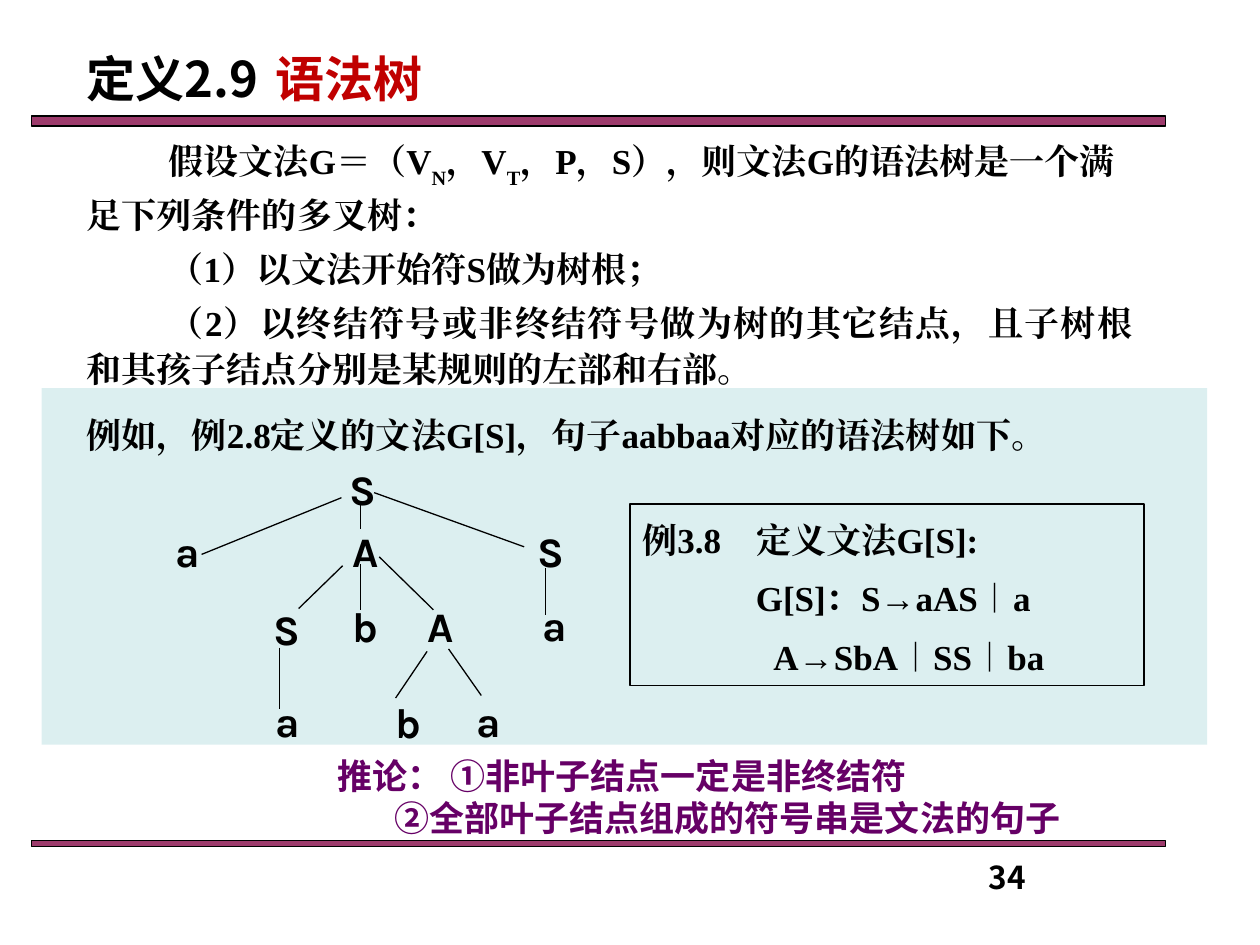
from dataclasses import dataclass

from lxml import etree
from pptx import Presentation
from pptx import util as u
from pptx.dml import color
from pptx.enum import shapes, text
from pptx.oxml import ns


@dataclass(frozen=True)
class Theme:
    ink: str = "000000"
    red: str = "C00000"
    purple: str = "660066"
    bar: str = "993366"
    panel: str = "BBE0E3"
    serif: str = "Times New Roman"
    sans: str = "Noto Sans CJK SC"
    label: str = "Karla"
    title: float = 28
    node: float = 24
    body: float = 20
    number: float = 18
    hairline: float = 0.75


ALIGN, ANCHOR = text.PP_ALIGN, text.MSO_ANCHOR
COLUMNS, ROWS = 100, 75


class Deck:
    def __init__(self, theme):
        self.theme = theme
        self.prs = Presentation()
        self.prs.slide_width, self.prs.slide_height = u.Inches(10), u.Inches(7.5)
        self.s = self.prs.slides.add_slide(self.prs.slide_layouts[6])

    def x(self, columns):
        return round(self.prs.slide_width * columns / COLUMNS)

    def y(self, rows):
        return round(self.prs.slide_height * rows / ROWS)

    def place(self, at):
        left, top, width, height = at
        return self.x(left), self.y(top), self.x(width), self.y(height)

    def rect(self, at, fill=None, opacity=100, outline=True):
        sp = self.s.shapes.add_shape(shapes.MSO_SHAPE.RECTANGLE, *self.place(at))
        sp.shadow.inherit = False
        if fill:
            sp.fill.solid()
            sp.fill.fore_color.rgb = color.RGBColor.from_string(fill)
            clr = sp.fill._xPr.find(".//" + ns.qn("a:srgbClr"))
            etree.SubElement(clr, ns.qn("a:alpha"), val=str(opacity * 1000))
        else:
            sp.fill.background()
        if outline:
            self.stroke(sp.line)
        else:
            sp.line.fill.background()
        return sp

    def stroke(self, line):
        line.color.rgb = color.RGBColor.from_string(self.theme.ink)
        line.width = u.Pt(self.theme.hairline)

    def line(self, x1, y1, x2, y2):
        ends = self.x(x1), self.y(y1), self.x(x2), self.y(y2)
        c = self.s.shapes.add_connector(shapes.MSO_CONNECTOR.STRAIGHT, *ends)
        self.stroke(c.line)
        etree.SubElement(c._element.spPr, ns.qn("a:effectLst"))

    def textbox(self, at, anchor=ANCHOR.TOP):
        sp = self.s.shapes.add_textbox(*self.place(at))
        self.frame(sp, anchor)
        return sp

    def frame(self, sp, anchor=ANCHOR.TOP):
        sp.text_frame.word_wrap = True
        sp.text_frame.vertical_anchor = anchor

    def para(self, sp, runs, size, font, ink=None, align=ALIGN.LEFT,
             spacing=None, before=0, margin=0, first=0, tab=None):
        tf = sp.text_frame
        p = tf.paragraphs[0]
        if p.runs:
            p = tf.add_paragraph()
            p.space_before = u.Pt(before)
        p.alignment = align
        if spacing:
            p.line_spacing = spacing
        pPr = p._p.get_or_add_pPr()
        pPr.set("marL", str(self.x(margin)))
        pPr.set("indent", str(self.x(first)))
        if tab:
            tabs = etree.SubElement(pPr, ns.qn("a:tabLst"))
            etree.SubElement(tabs, ns.qn("a:tab"), pos=str(self.x(tab)), algn="l")
        for words, style in runs:
            r = p.add_run()
            r.text = words
            r.font.size, r.font.bold, r.font.name = u.Pt(size), True, font
            rgb = style.get("ink", ink or self.theme.ink)
            r.font.color.rgb = color.RGBColor.from_string(rgb)
            rPr = r._r.get_or_add_rPr()
            etree.SubElement(rPr, ns.qn("a:ea"), typeface=font)
            if "base" in style:
                rPr.set("baseline", str(style["base"] * 1000))


def draw_tree(deck):
    t = deck.theme
    nodes = [
        ("S", 25.4, 36.3), ("A", 25.6, 41.2), ("a", 11.5, 41.2),
        ("S", 19.4, 47.4), ("S", 40.3, 41.2), ("a", 40.6, 47.1),
        ("a", 19.4, 54.7), ("b", 25.6, 47.2), ("A", 31.6, 47.2),
        ("b", 29, 54.8), ("a", 35.4, 54.7),
    ]
    edges = [
        (28.6, 40.1, 28.6, 42), (27.1, 39.5, 16, 44), (29.7, 39.1, 41.6, 43.4),
        (27.2, 44.9, 23.7, 48.3), (28.6, 44.8, 28.6, 48.4), (30.1, 44.2, 34.4, 48.4),
        (43.3, 45.1, 43.3, 48.8), (22.2, 51.4, 22.2, 56.3),
        (33.9, 51.7, 31.4, 55.4), (35.6, 51.5, 38.2, 55.2),
    ]
    for symbol, left, top in nodes:
        sp = deck.textbox((left, top, 6.8, 5.6))
        deck.para(sp, [(symbol, {})], t.node, t.label, align=ALIGN.CENTER)
    for edge in edges:
        deck.line(*edge)


def main():
    t = Theme()
    deck = Deck(t)
    for top, height in ((9.2, 0.8), (66.7, 0.5)):
        deck.rect((2.5, top, 90, height), t.bar, 96)
    deck.rect((3.3, 30.8, 92.5, 28.3), t.panel, 50, outline=False)

    sub = {"base": -30}
    definition = [
        ([("假设文法G＝（V", {}), ("N", sub), ("，V", {}), ("T", sub),
          ("，P，S），则文法G的语法树是一个满足下列条件的多叉树：", {})], ALIGN.LEFT),
        ([("（1）以文法开始符S做为树根；", {})], ALIGN.LEFT),
        ([("（2）以终结符号或非终结符号做为树的其它结点，"
           "且子树根和其孩子结点分别是某规则的左部和右部。", {})], ALIGN.JUSTIFY),
    ]
    sp = deck.textbox((5.9, 10.2, 85, 20.9))
    for runs, align in definition:
        deck.para(sp, runs, t.body, t.serif, align=align, spacing=1.1, before=4.6, first=6.5)

    sp = deck.textbox((5.9, 3.3, 35.8, 5.7), ANCHOR.MIDDLE)
    deck.para(sp, [("定义2.9\t", {}), ("语法树", {"ink": t.red})], t.title, t.sans, tab=17.2)

    draw_tree(deck)

    sp = deck.textbox((5.9, 32.3, 82, 4.3))
    deck.para(sp, [("例如，例2.8定义的文法G[S]，句子aabbaa对应的语法树如下。", {})], t.body, t.serif)

    sp = deck.textbox((25.8, 59.4, 65.8, 7.7))
    for words, margin in (("推论： ①非叶子结点一定是非终结符", 0),
                          ("②全部叶子结点组成的符号串是文法的句子", 4.5)):
        deck.para(sp, [(words, {})], t.body, t.sans, t.purple, spacing=u.Pt(24), margin=margin)

    sp = deck.rect((50, 40, 40.8, 14.4))
    deck.frame(sp)
    for words, margin in (("例3.8\u3000定义文法G[S]:".replace("\u3000", "　"), 0),
                          ("G[S]：S→aAS︱a", 9), ("A→SbA︱SS︱ba", 10.4)):
        deck.para(sp, [(words, {})], t.body, t.serif, spacing=1.2, before=4.6, margin=margin)

    sp = deck.textbox((77.5, 67.5, 23.3, 4.2), ANCHOR.MIDDLE)
    deck.para(sp, [("34", {})], t.number, t.sans)
    deck.prs.save("out.pptx")


if __name__ == "__main__":
    main()
